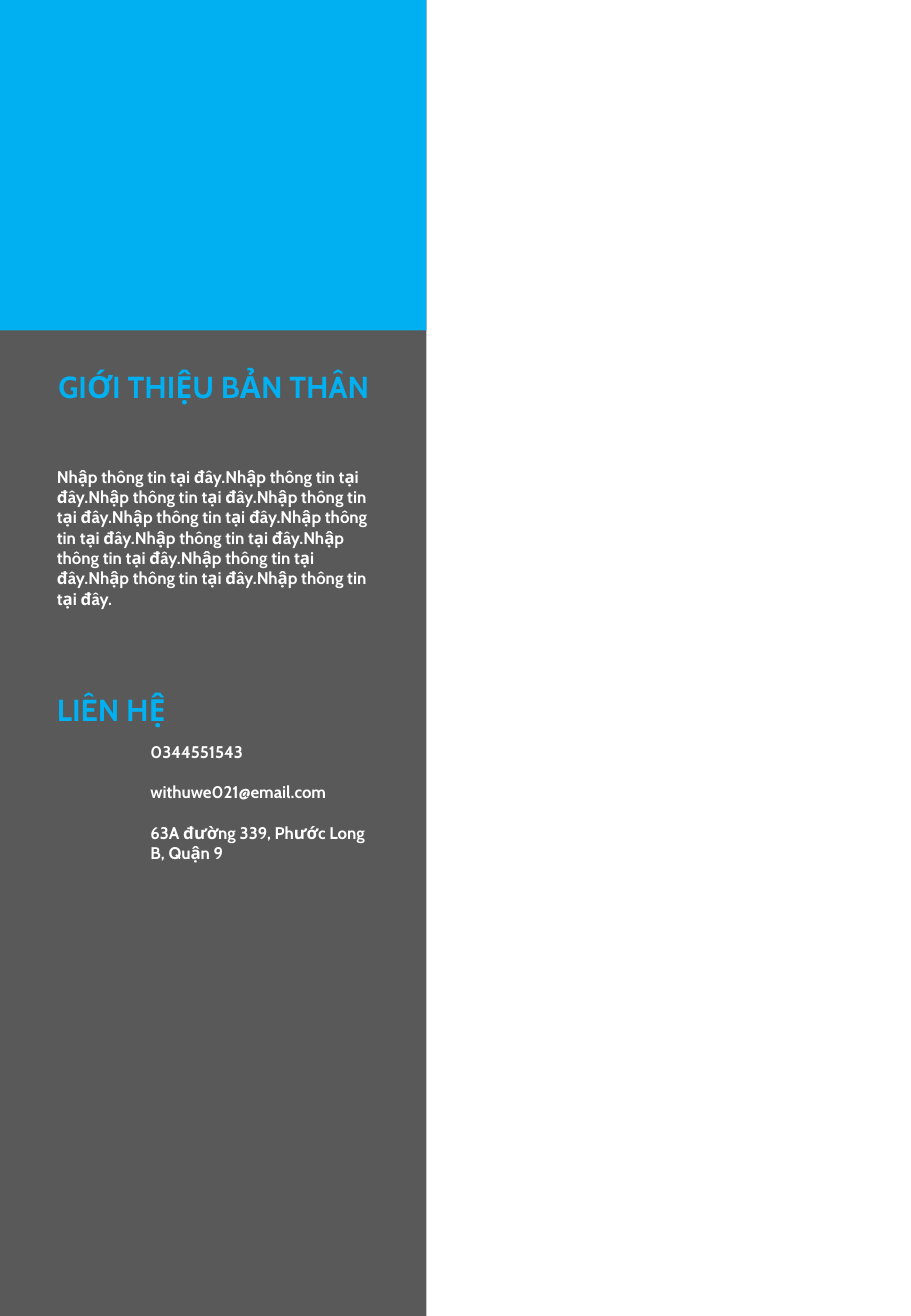
from dataclasses import dataclass

import pptx
import pptx.dml.color
import pptx.enum.shapes
import pptx.enum.text
import pptx.util

Inches = pptx.util.Inches
Align = pptx.enum.text.PP_ALIGN
COLOURS = {"sidebar": "595959", "accent": "00B0F0", "body": "FFFFFF"}
FONT = "Cabin"
SIDEBAR_WIDTH = 3.51
MARGIN = 0.37
TEXT_WIDTH = 2.78


@dataclass
class Panel:
    height: float
    colour: str


@dataclass
class TextBlock:
    left: float
    top: float
    width: float
    height: float
    lines: list[str]
    size: int
    colour: str
    align: Align = Align.LEFT
    gap: int = 0
    is_title: bool = False


PANELS = [Panel(10.86, "sidebar"), Panel(2.72, "accent")]
BLOCKS = [
    TextBlock(MARGIN, 2.98, TEXT_WIDTH, 0.4, ["GIỚI THIỆU BẢN THÂN"], 18, "accent",
              align=Align.CENTER, is_title=True),
    TextBlock(MARGIN, 3.79, TEXT_WIDTH, 1.45, ["Nhập thông tin tại đây." * 11], 10, "body"),
    TextBlock(MARGIN, 5.64, TEXT_WIDTH, 0.4, ["LIÊN HỆ"], 18, "accent"),
    TextBlock(1.14, 6.05, 2, 1.11,
              ["0344551543", "withuwe021@email.com", "63A đường 339, Phước Long B, Quận 9"],
              10, "body", gap=12),
]


def colour_of(name: str) -> pptx.dml.color.RGBColor:
    return pptx.dml.color.RGBColor.from_string(COLOURS[name])


def draw_panel(page: pptx.slide.Slide, panel: Panel) -> None:
    box = page.shapes.add_shape(pptx.enum.shapes.MSO_SHAPE.RECTANGLE, 0, 0,
                                Inches(SIDEBAR_WIDTH), Inches(panel.height))
    box.shadow.inherit = False
    box.fill.solid()
    box.fill.fore_color.rgb = colour_of(panel.colour)
    box.line.fill.background()


def draw_text(page: pptx.slide.Slide, block: TextBlock) -> None:
    place = [Inches(value) for value in (block.left, block.top, block.width, block.height)]
    if block.is_title:
        box = page.shapes.title
        box.left, box.top, box.width, box.height = place
        box.element.getparent().append(box.element)
    else:
        box = page.shapes.add_textbox(*place)
    frame = box.text_frame
    frame.word_wrap = True
    frame.auto_size = pptx.enum.text.MSO_AUTO_SIZE.SHAPE_TO_FIT_TEXT
    frame.vertical_anchor = pptx.enum.text.MSO_ANCHOR.TOP
    for index, line in enumerate(block.lines):
        para = frame.add_paragraph() if index else frame.paragraphs[0]
        para.alignment = block.align
        para.space_before = pptx.util.Pt(block.gap if index else 0)
        span = para.add_run()
        span.text = line
        span.font.name = FONT
        span.font.size = pptx.util.Pt(block.size)
        span.font.bold = True
        span.font.color.rgb = colour_of(block.colour)


def main() -> None:
    deck = pptx.Presentation()
    deck.slide_width, deck.slide_height = Inches(7.5), Inches(10.83)
    page = deck.slides.add_slide(deck.slide_layouts[5])
    for panel in PANELS:
        draw_panel(page, panel)
    for block in BLOCKS:
        draw_text(page, block)
    deck.save("out.pptx")


if __name__ == "__main__":
    main()
